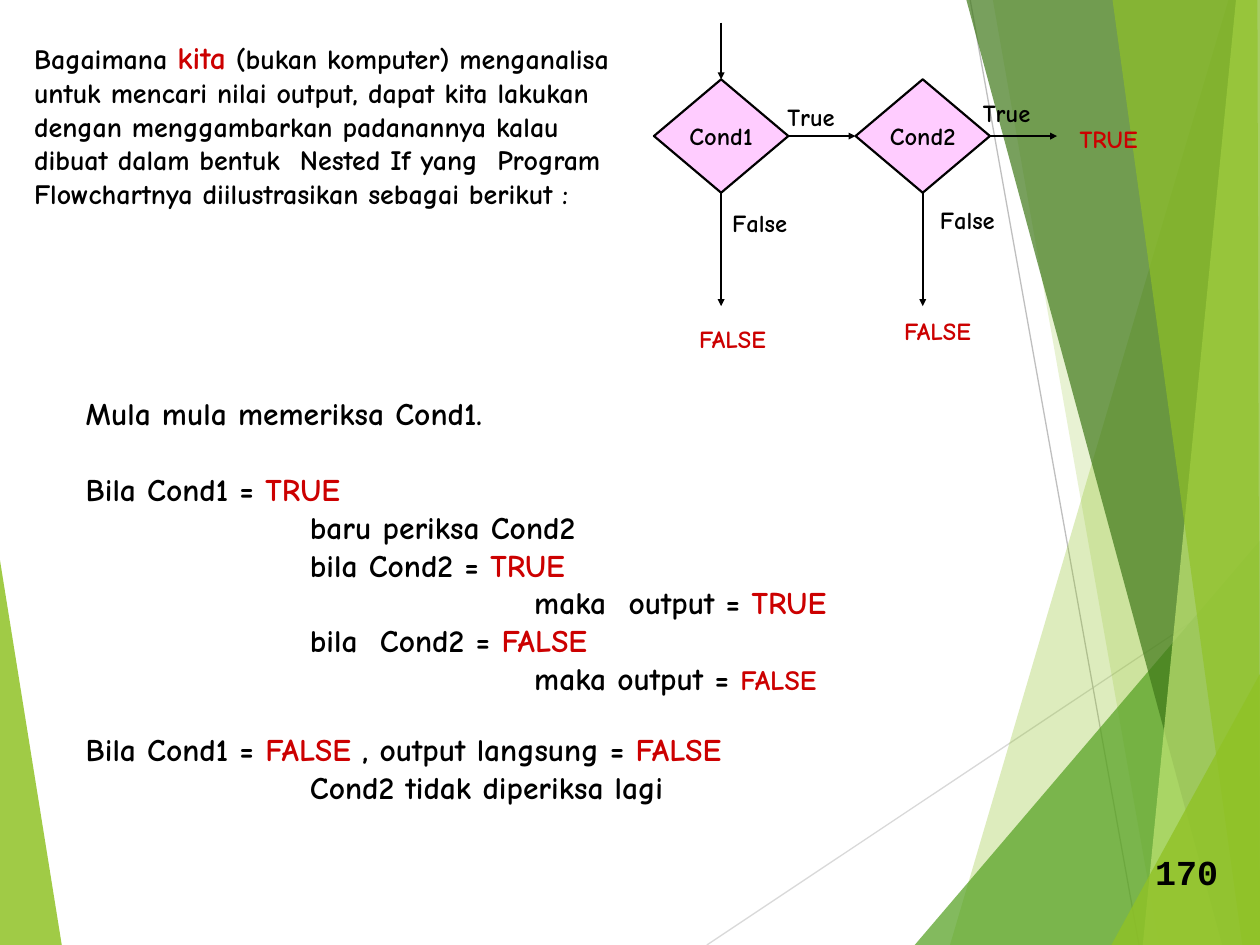
from dataclasses import dataclass

from lxml import etree
from pptx import Presentation
from pptx import util as u
from pptx.dml.color import RGBColor
from pptx.enum import shapes, text
from pptx.oxml import ns


@dataclass(frozen=True)
class Theme:
    font: str = "Comic Neue"
    number_font: str = "Courier New"
    ink: str = "000000"
    accent: str = "CC0000"
    node: str = "FFCCFF"
    green: str = "90C226"
    mid_green: str = "54A021"
    dark_green: str = "3F7819"
    pale_green: str = "C0E474"
    light_grey: str = "D9D9D9"
    grey: str = "BFBFBF"
    body_size: int = 18
    small_size: int = 16
    label_size: int = 14
    number_size: int = 20
    thin: float = 0.75
    stroke: float = 1.25


@dataclass(frozen=True)
class Box:
    """An area in inches, divided into a grid of columns and rows."""
    left: float
    top: float
    width: float
    height: float
    columns: float = 100
    rows: float = 100

    def size(self, columns, rows):
        return (u.Inches(self.width * columns / self.columns),
                u.Inches(self.height * rows / self.rows))

    def point(self, column, row):
        width, height = self.size(column, row)
        return u.Inches(self.left) + width, u.Inches(self.top) + height


THEME = Theme()
PAGE = Box(0, 0, 10, 7.5)
INTRO = Box(0.17, 0.25, 4.83, 1.47)
FLOWCHART = Box(5.19, 0.18, 3.2, 2.25, columns=6, rows=5)
STEPS = Box(0.58, 3.08, 8.5, 3.37)
NUMBER = Box(9.07, 6.7, 0.7, 0.44)

# Points are percentages of the slide; the last two values are colour and opacity.
LEFT_FACET = ([(0, 59.3), (4.9, 100), (0, 100)], THEME.green, 85)
RIGHT_FACETS = [
    ([(97.5, 0), (75.4, 100), (100, 100), (100, 0)], THEME.green, 30),
    ([(78.8, 0), (92, 100), (100, 100), (100, 0)], THEME.green, 20),
    ([(72.6, 100), (100, 57.2), (100, 100)], THEME.mid_green, 72),
    ([(76.7, 0), (97, 100), (100, 100), (100, 0)], THEME.dark_green, 70),
    ([(98.1, 0), (90.7, 100), (100, 100), (100, 0)], THEME.pale_green, 70),
    ([(88.3, 0), (98.6, 100), (100, 100), (99.8, 0)], THEME.green, 65),
    ([(88.2, 100), (100, 71.3), (100, 100)], THEME.green, 80),
]
RAYS = [((56.1, 100), (100, 61), THEME.light_grey),
        ((77, 0), (90.4, 100), THEME.grey)]

# Bars enclose the accented words.
INTRO_TEXT = ("Bagaimana |kita| (bukan komputer) menganalisa untuk mencari nilai "
              "output, dapat kita lakukan dengan menggambarkan padanannya kalau "
              "dibuat dalam bentuk  Nested If yang  Program Flowchartnya "
              "diilustrasikan sebagai berikut :")
# Indent level, wording, space before in points, size of accented words.
STEP_LINES = [
    (0, "Mula mula memeriksa Cond1.", 0, 18),
    (0, "Bila Cond1 = |TRUE|", 21.6, 18),
    (1, "baru periksa Cond2", 0, 18),
    (1, "bila Cond2 = |TRUE|", 0, 18),
    (2, "maka  output = |TRUE|", 0, 18),
    (1, "bila  Cond2 = |FALSE|", 0, 18),
    (2, "maka output = |FALSE|", 0, 16),
    (0, "Bila Cond1 = |FALSE| , output langsung = |FALSE|", 19, 18),
    (1, "Cond2 tidak diperiksa lagi", 0, 18),
]
STEP_INDENT = 1.78

# Flowchart positions in columns and rows.
NODES = [("Cond1", 1), ("Cond2", 4)]
ARROWS = [((1, 0), (1, 1)), ((2, 2), (3, 2)), ((1, 3), (1, 5)),
          ((5, 2), (6, 2)), ((4, 3), (4, 5))]
LABELS = [("True", 1.8, 1.29), ("True", 4.71, 1.22),
          ("False", 0.98, 3.16), ("False", 4.07, 3.11),
          ("|FALSE|", 0.49, 5.2), ("|FALSE|", 3.54, 5.07), ("|TRUE|", 6.15, 1.67)]
LABEL_COLUMNS = {"True": 1.12, "False": 1.25, "|FALSE|": 1.42, "|TRUE|": 1.28}


def rgb(colour):
    return RGBColor.from_string(colour)


def write(paragraph, wording, size, accent_size=None, font=THEME.font):
    """Fill a paragraph; parts between bars take the accent colour."""
    paragraph.font.name = font
    paragraph.font.size = u.Pt(size)
    paragraph.font.bold = True
    paragraph.font.color.rgb = rgb(THEME.ink)
    for index, part in enumerate(wording.split("|")):
        if not part:
            continue
        run = paragraph.add_run()
        run.text = part
        if index % 2:
            run.font.color.rgb = rgb(THEME.accent)
            run.font.size = u.Pt(accent_size or size)


def add_line(slide, box, start, end, colour, width, arrow=False):
    line = slide.shapes.add_connector(shapes.MSO_CONNECTOR.STRAIGHT,
                                      *box.point(*start), *box.point(*end))
    line.line.color.rgb = rgb(colour)
    line.line.width = u.Pt(width)
    if arrow:
        etree.SubElement(line.line._get_or_add_ln(), ns.qn("a:tailEnd"),
                         type="triangle", w="sm", len="sm")
    etree.SubElement(line.element.spPr, ns.qn("a:effectLst"))


def add_facet(slide, box, points, colour, opacity):
    start, *rest = [box.point(*point) for point in points]
    builder = slide.shapes.build_freeform(*start)
    builder.add_line_segments(rest)
    facet = builder.convert_to_shape()
    facet.shadow.inherit = False
    facet.line.fill.background()
    facet.fill.solid()
    facet.fill.fore_color.rgb = rgb(colour)
    fill_colour = facet.element.spPr.find(".//" + ns.qn("a:srgbClr"))
    etree.SubElement(fill_colour, ns.qn("a:alpha"), val=str(opacity * 1000))


def add_backdrop(slide, box):
    add_facet(slide, box, *LEFT_FACET)
    for start, end, colour in RAYS:
        add_line(slide, box, start, end, colour, THEME.thin)
    for facet in RIGHT_FACETS:
        add_facet(slide, box, *facet)


def add_label(slide, position, size, wording, type_size, font=THEME.font):
    label = slide.shapes.add_textbox(*position, *size)
    label.text_frame.word_wrap = False
    label.text_frame.auto_size = text.MSO_AUTO_SIZE.SHAPE_TO_FIT_TEXT
    write(label.text_frame.paragraphs[0], wording, type_size, font=font)


def add_flowchart(slide, box):
    for name, column in NODES:
        node = slide.shapes.add_shape(shapes.MSO_SHAPE.FLOWCHART_DECISION,
                                      *box.point(column - 1, 1), *box.size(2, 2))
        node.shadow.inherit = False
        node.fill.solid()
        node.fill.fore_color.rgb = rgb(THEME.node)
        node.line.color.rgb = rgb(THEME.ink)
        node.line.width = u.Pt(THEME.stroke)
        node.text_frame.word_wrap = False
        paragraph = node.text_frame.paragraphs[0]
        paragraph.alignment = text.PP_ALIGN.CENTER
        write(paragraph, name, THEME.label_size)
    for start, end in ARROWS:
        add_line(slide, box, start, end, THEME.ink, THEME.stroke, arrow=True)
    for wording, column, row in LABELS:
        add_label(slide, box.point(column, row), box.size(LABEL_COLUMNS[wording], 0.75),
                  wording, THEME.label_size)


def place_placeholder(shape, box):
    """Move a placeholder to the box and to the front; return its text frame."""
    shape.left, shape.top = box.point(0, 0)
    shape.width, shape.height = box.size(box.columns, box.rows)
    shape.element.getparent().append(shape.element)
    frame = shape.text_frame
    frame.word_wrap = True
    frame.auto_size = text.MSO_AUTO_SIZE.NONE
    frame.vertical_anchor = text.MSO_ANCHOR.TOP
    return frame


def fill_intro(slide, box):
    paragraph = place_placeholder(slide.shapes.title, box).paragraphs[0]
    paragraph.alignment = text.PP_ALIGN.LEFT
    write(paragraph, INTRO_TEXT, THEME.small_size, THEME.body_size)


def fill_steps(slide, box):
    frame = place_placeholder(slide.placeholders[1], box)
    for index, (level, wording, space, accent_size) in enumerate(STEP_LINES):
        paragraph = frame.add_paragraph() if index else frame.paragraphs[0]
        paragraph.space_before = u.Pt(space)
        properties = paragraph._p.get_or_add_pPr()
        properties.set("marL", str(u.Inches(STEP_INDENT * level)))
        properties.set("indent", "0")
        etree.SubElement(properties, ns.qn("a:buNone"))
        write(paragraph, wording, THEME.body_size, accent_size)


def main():
    presentation = Presentation()
    presentation.slide_width, presentation.slide_height = PAGE.size(100, 100)
    slide = presentation.slides.add_slide(presentation.slide_layouts[1])
    add_backdrop(slide, PAGE)
    fill_steps(slide, STEPS)
    add_flowchart(slide, FLOWCHART)
    fill_intro(slide, INTRO)
    add_label(slide, NUMBER.point(0, 0), NUMBER.size(100, 100), "170",
              THEME.number_size, THEME.number_font)
    presentation.save("out.pptx")


if __name__ == "__main__":
    main()
